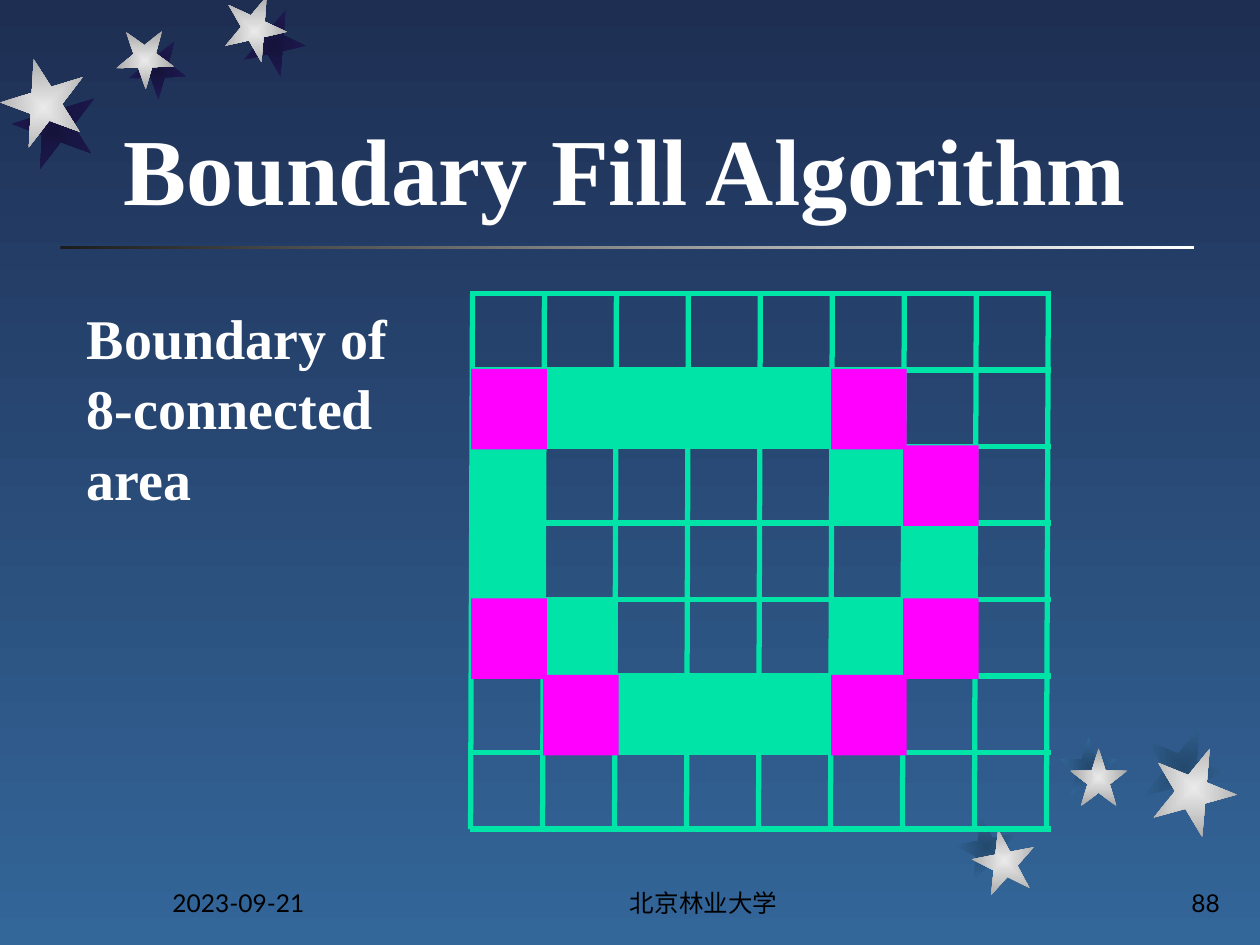
from lxml import etree
from pptx import Presentation
from pptx.dml.color import RGBColor
from pptx.enum.shapes import MSO_CONNECTOR, MSO_SHAPE
from pptx.enum.text import MSO_ANCHOR, MSO_AUTO_SIZE, PP_ALIGN
from pptx.oxml.ns import qn
from pptx.util import Inches, Pt

LINE = MSO_CONNECTOR.STRAIGHT
RECT, STAR = MSO_SHAPE.RECTANGLE, MSO_SHAPE.STAR_5_POINT
TOP, BOTTOM = MSO_ANCHOR.TOP, MSO_ANCHOR.BOTTOM
LEFT, CENTER, RIGHT = PP_ALIGN.LEFT, PP_ALIGN.CENTER, PP_ALIGN.RIGHT

COLORS = {
    "sky_top": "1E2E53", "sky_bottom": "336699", "white": "FFFFFF",
    "black": "000000", "rule_dark": "1C1C1C", "star": "EAEAEA",
    "star_edge": "A7A7A7", "night": "15133B", "night_edge": "1E1A53",
    "dusk": "24496D", "green": "00E4A8", "magenta": "FF00FF",
}
SERIF, SANS = "Times New Roman", "Lato"

# The slide is a grid of 100 columns by 75 rows of square units
SLIDE_W, SLIDE_H = Inches(10), Inches(7.5)
UNIT = SLIDE_W / 100

# Stars: left, top, size, rotation, shadow offset across and down
TOP_STARS = [(17.7, 0, 5, 167.3, 1.5, 1.1),
             (9.2, 2.5, 4.6, 178.3, 1, 0.8),
             (0.1, 5.2, 6.7, 200.3, 0.9, 1.7)]
BOTTOM_STARS = [(77.2, 65.8, 5, 349, -1.4, -1.1),
                (84.9, 59.4, 4.6, 0, -0.8, -0.9),
                (91.4, 59.2, 6.7, 22, -0.8, -1.7)]

# Pixel raster: columns, rows, and the (column, row) of the boundary pixels
COLS, ROWS = 8, 7
EDGE_PIXELS = [(1, 1), (2, 1), (3, 1), (4, 1), (0, 2), (5, 2), (0, 3), (6, 3),
               (1, 4), (5, 4), (2, 5), (3, 5), (4, 5)]
CORNER_PIXELS = [(0, 1), (5, 1), (6, 2), (0, 4), (6, 4), (1, 5), (5, 5)]


def units(*values):
    return [round(v * UNIT) for v in values]


def rgb(name):
    return RGBColor.from_string(COLORS[name])


def set_gradient(fill, start, end, angle=0):
    fill.gradient()
    fill.gradient_angle = angle
    for stop, name in zip(fill.gradient_stops, (start, end)):
        stop.color.rgb = rgb(name)


def add_shape(shapes, kind, box, color=None):
    sp = shapes.add_shape(kind, *units(*box))
    sp.shadow.inherit = False
    sp.line.fill.background()
    if color:
        sp.fill.solid()
        sp.fill.fore_color.rgb = rgb(color)
    return sp


def add_line(shapes, x1, y1, x2, y2):
    cn = shapes.add_connector(LINE, *units(x1, y1, x2, y2))
    cn.line.color.rgb = rgb("green")
    cn.line.width = Pt(3)
    etree.SubElement(cn._element.spPr, qn("a:effectLst"))


def add_star(shapes, box, rotation, start, end):
    sp = add_shape(shapes, STAR, box)
    sp.rotation = rotation
    set_gradient(sp.fill, start, end)
    # Radiate from the centre instead of running along a line
    grad = sp._element.spPr.find(qn("a:gradFill"))
    grad.remove(grad.find(qn("a:lin")))
    radial = etree.SubElement(grad, qn("a:path"), {"path": "shape"})
    etree.SubElement(radial, qn("a:fillToRect"),
                     dict.fromkeys("ltrb", "50000"))


def write(sp, text, box, size=14, font=SANS, color="black", bold=False,
          align=LEFT, anchor=TOP, spacing=1.0):
    sp.left, sp.top, sp.width, sp.height = units(*box)
    tf = sp.text_frame
    tf.word_wrap = True
    tf.auto_size = MSO_AUTO_SIZE.NONE
    tf.vertical_anchor = anchor
    p = tf.paragraphs[0]
    p.alignment = align
    p.line_spacing = spacing
    p.space_before = Pt(0)
    r = p.add_run()
    r.text = text
    r.font.size, r.font.name, r.font.bold = Pt(size), font, bold
    r.font.color.rgb = rgb(color)
    return p


def add_star_cluster(shapes, stars, shadow, shadow_edge):
    for x, y, size, rotation, dx, dy in stars:
        add_star(shapes, (x + dx, y + dy, size, size), rotation,
                 shadow, shadow_edge)
    for x, y, size, rotation, *_ in stars:
        add_star(shapes, (x, y, size, size), rotation, "star", "star_edge")


def add_heading(s, box):
    x, y, w, h = box
    rule = add_shape(s.shapes, RECT, (x, y + h - 0.3, w, 0.3))
    set_gradient(rule.fill, "rule_dark", "white")
    write(s.shapes.title, "Boundary Fill Algorithm",
          (x + 4, y, w - 6.5, h - 1.5), size=54, font=SERIF, color="white",
          bold=True, anchor=BOTTOM)


def add_caption(s, box):
    p = write(s.placeholders[1], "Boundary of 8-connected area", box,
              size=32, font=SERIF, color="white", bold=True, spacing=1.05)
    pPr = p._p.get_or_add_pPr()
    pPr.set("marL", "0")
    pPr.set("indent", "0")
    etree.SubElement(pPr, qn("a:buNone"))


def add_raster(s, box):
    x, y, w, h = box
    col_w, row_h = w / COLS, h / ROWS
    lines = s.shapes.add_group_shape().shapes
    for col in range(COLS + 1):
        cx = x + col * col_w
        add_line(lines, cx + 0.1, y, cx - 0.05, y + h)
    for row in range(ROWS + 1):
        cy = y + row * row_h
        add_line(lines, x - 0.1, cy, x + w + 0.3, cy)
    # Boundary pixels, then the extra corners on top
    for pixels, color, pw, ph in ((EDGE_PIXELS, "green", 5.9, 6.2),
                                  (CORNER_PIXELS, "magenta", 6, 6.4)):
        cells = s.shapes.add_group_shape().shapes
        for col, row in pixels:
            add_shape(cells, RECT, (x + col * col_w, y + row * row_h - 0.1,
                                    pw, ph), color)


def add_footer(s, box):
    x, y, w, h = box
    for text, dx, width, align in (("2023-09-21", 0, 20.8, LEFT),
                                   ("北京林业大学", 27.3, 31.7, CENTER),
                                   ("88", w - 20.8, 20.8, RIGHT)):
        part = (x + dx, y, width, h)
        write(s.shapes.add_textbox(*units(*part)), text, part,
              align=align, anchor=BOTTOM)


def main():
    prs = Presentation()
    prs.slide_width, prs.slide_height = SLIDE_W, SLIDE_H
    s = prs.slides.add_slide(prs.slide_layouts[1])
    set_gradient(s.background.fill, "sky_top", "sky_bottom", angle=270)
    add_star_cluster(s.shapes, TOP_STARS, "night", "night_edge")
    add_star_cluster(s.shapes, BOTTOM_STARS, "dusk", "sky_bottom")
    add_heading(s, (4.8, 6.5, 90, 13.3))
    add_caption(s, (5.9, 23.3, 28.9, 16.7))
    add_raster(s, (37.4, 23.3, 45.7, 42.5))
    add_footer(s, (12.7, 68.3, 85.1, 5))
    prs.save("out.pptx")


if __name__ == "__main__":
    main()
